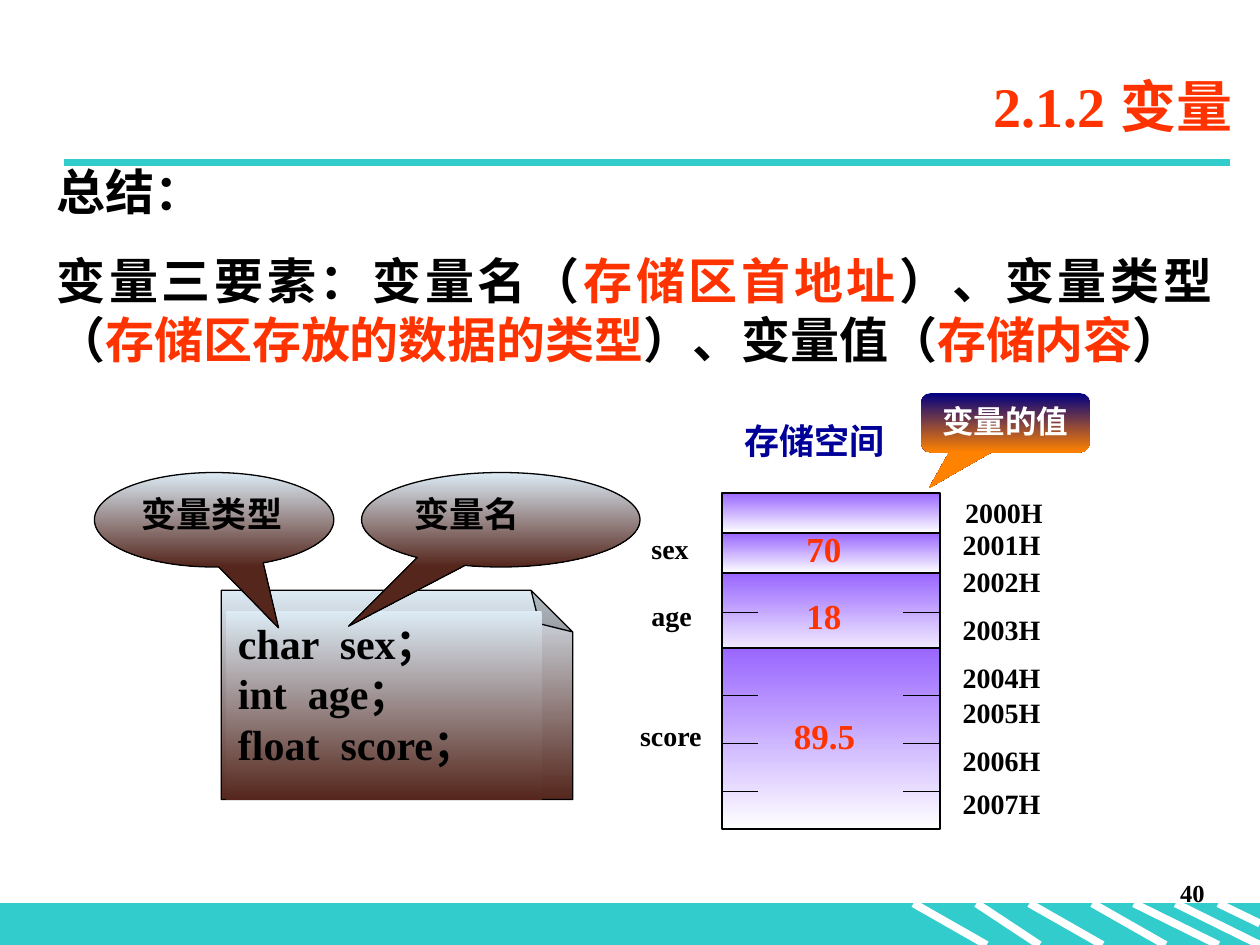
from pptx import Presentation
from pptx.dml.color import RGBColor
from pptx.enum.shapes import MSO_CONNECTOR, MSO_SHAPE
from pptx.enum.text import MSO_ANCHOR, MSO_AUTO_SIZE, PP_ALIGN
from pptx.oxml.ns import qn
from pptx.util import Inches, Pt
from lxml.etree import SubElement

BLACK, WHITE, RED, TEAL, NAVY = "000000", "FFFFFF", "FF3300", "33CCCC", "000099"
BROWN = ("DCEBF5", "55261C")
VIOLET = ("9966FF", "FFFFFF")
SUNSET = ("000082", "FF8200")
LEFT, RIGHT, JUST, MID = (PP_ALIGN.LEFT, PP_ALIGN.RIGHT,
                          PP_ALIGN.JUSTIFY, PP_ALIGN.CENTER)
PAD = (0.1, 0.05)

TITLE = "2.1.2 变量"
SUMMARY = [
    [("总结：", BLACK)],
    [("变量三要素：变量名（", BLACK), ("存储区首地址", RED),
     ("）、变量类型（", BLACK), ("存储区存放的数据的类型", RED),
     ("）、变量值（", BLACK), ("存储内容", RED), ("）", BLACK)],
]
CODE = ["char  sex；", "int  age；", "float  score；"]
BUBBLES = [  # text, left, width, tail
    ("变量类型", 0.75, 1.9, (0.269, 1.144)),
    ("变量名", 2.87, 2.21, (-0.547, 1.127)),
]
CELLS = [(3.91, 0.32), (4.23, 0.32), (4.55, 0.69), (5.14, 1.44)]  # top, height
TICKS = [4.86, 5.52, 5.9, 6.28]
ADDRESSES = [
    ("2000H", 7.66, 3.93), ("2001H", 7.64, 4.19), ("2002H", 7.64, 4.48),
    ("2003H", 7.64, 4.86), ("2004H", 7.64, 5.24), ("2005H", 7.64, 5.52),
    ("2006H", 7.64, 5.9), ("2007H", 7.64, 6.24),
]
NAMES = [("sex", 5.17, 4.22), ("age", 5.17, 4.75), ("score", 5.08, 5.7)]
VALUES = [("70", 6.4, 4.19), ("18", 6.4, 4.72), ("89.5", 6.3, 5.67)]
STRIPES = [(7.25, 7.83), (7.75, 8.25), (8.17, 8.75), (8.67, 9.25),
           (9, 9.67), (9.33, 10)]
CELL_X, CELL_W, TICK = 5.73, 1.73, 0.29
BAR_Y = 7.17

deck = Presentation()
deck.slide_width, deck.slide_height = Inches(10), Inches(7.5)
slide = deck.slides.add_slide(deck.slide_layouts[5])
shapes = slide.shapes


def rgb(code):
    return RGBColor.from_string(code)


def style(para, size, color, align, before=0):
    para.alignment = align
    para.space_before = Pt(before)
    for run in para.runs:
        font = run.font
        font.name, font.size, font.bold = "Times New Roman", Pt(size), True
        font.color.rgb = rgb(color)


def write(shape, text, size, color, align=LEFT, before=0, pad=PAD, wrap=True):
    frame = shape.text_frame
    frame.word_wrap = wrap
    frame.vertical_anchor = MSO_ANCHOR.TOP
    frame.margin_left = frame.margin_right = Inches(pad[0])
    frame.margin_top = frame.margin_bottom = Inches(pad[1])
    frame.text = text
    for para in frame.paragraphs:
        style(para, size, color, align, before)


def box(x, y, w, h):
    return shapes.add_textbox(Inches(x), Inches(y), Inches(w), Inches(h))


def label(item, size, color):
    text, x, y = item
    write(box(x, y, 0.62, size / 60), text, size, color, pad=(0, 0), wrap=False)


def draw(kind, x, y, w, h, fill, edge=None, width=0.75, adjust=(), angle=270):
    """Add a preset shape; a pair of colours as fill makes a gradient."""
    shape = shapes.add_shape(kind, Inches(x), Inches(y), Inches(w), Inches(h))
    shape.shadow.inherit = False
    for i, value in enumerate(adjust):
        shape.adjustments[i] = value
    if isinstance(fill, tuple):
        shape.fill.gradient()
        shape.fill.gradient_angle = angle
        for stop, color in zip(shape.fill.gradient_stops, fill):
            stop.color.rgb = rgb(color)
    else:
        shape.fill.solid()
        shape.fill.fore_color.rgb = rgb(fill)
    if edge:
        shape.line.color.rgb = rgb(edge)
        shape.line.width = Pt(width)
    else:
        shape.line.fill.background()
    return shape


def rule(x1, y1, x2, y2, color, width):
    line = shapes.add_connector(MSO_CONNECTOR.STRAIGHT, Inches(x1), Inches(y1),
                                Inches(x2), Inches(y2))
    line.line.color.rgb = rgb(color)
    line.line.width = Pt(width)
    SubElement(line.element.spPr, qn("a:effectLst"))


# Footer band, title rule and page number
draw(MSO_SHAPE.RECTANGLE, 0, BAR_Y, 10, 0.33, TEAL, TEAL)
for start, end in STRIPES:
    rule(start, BAR_Y, end, 7.5, WHITE, 4.5)
rule(9.67, BAR_Y, 10, 7.33, WHITE, 4.5)
rule(0.51, 1.29, 9.76, 1.29, TEAL, 4.5)
write(box(7.58, 6.92, 2.08, 0.5), "40", 14, BLACK, RIGHT, 8.8)

# Title and summary
title = shapes.title
title.left, title.top = Inches(1.38), Inches(0.44)
title.width, title.height = Inches(8.5), Inches(0.79)
write(title, TITLE, 32, RED, RIGHT)
title.text_frame.vertical_anchor = MSO_ANCHOR.MIDDLE
title.text_frame.auto_size = MSO_AUTO_SIZE.NONE

summary = box(0.35, 1.23, 9.37, 1.75)
lines = ["".join(text for text, _ in parts) for parts in SUMMARY]
write(summary, "\n".join(lines), 28, BLACK, JUST, 17.5)
for para, parts in zip(summary.text_frame.paragraphs, SUMMARY):
    para.text = ""
    for text, color in parts:
        para.add_run().text = text
    style(para, 28, BLACK, JUST, 17.5)
    for run, (_, color) in zip(para.runs, parts):
        run.font.color.rgb = rgb(color)

# Declarations on a folded note, with callouts
note = draw(MSO_SHAPE.FOLDED_CORNER, 2.32, 4.12, 1.66, 2.79, BROWN, BLACK,
            angle=180)
note.rotation = 270
guides = next(note.element.iter(qn("a:avLst")))
SubElement(guides, qn("a:gd"), name="adj", fmla="val 19900")
code = draw(MSO_SHAPE.RECTANGLE, 1.79, 4.85, 2.51, 1.5, BROWN)
write(code, "\n".join(CODE), 24, BLACK, JUST)
for text, x, w, tail in BUBBLES:
    bubble = draw(MSO_SHAPE.OVAL_CALLOUT, x, 3.75, w, 0.75, BROWN, BLACK,
                  adjust=tail)
    write(bubble, text, 20, BLACK, JUST)

# Memory column
for top, height in CELLS:
    draw(MSO_SHAPE.RECTANGLE, CELL_X, top, CELL_W, height, VIOLET, BLACK, 1.25)
for y in TICKS:
    for x in (CELL_X, CELL_X + CELL_W - TICK):
        rule(x, y, x + TICK, y, BLACK, 0.75)
for item in ADDRESSES + NAMES:
    label(item, 16, BLACK)
for item in VALUES:
    label(item, 20, RED)
write(box(5.81, 3.28, 2.36, 0.44), "存储空间", 20, NAVY, before=12.5)
value = draw(MSO_SHAPE.ROUNDED_RECTANGULAR_CALLOUT, 7.31, 3.12, 1.34, 0.47,
             SUNSET, adjust=(-0.452, 1.103, 0.167))
write(value, "变量的值", 18, WHITE, MID, 4.5)

deck.save("out.pptx")
